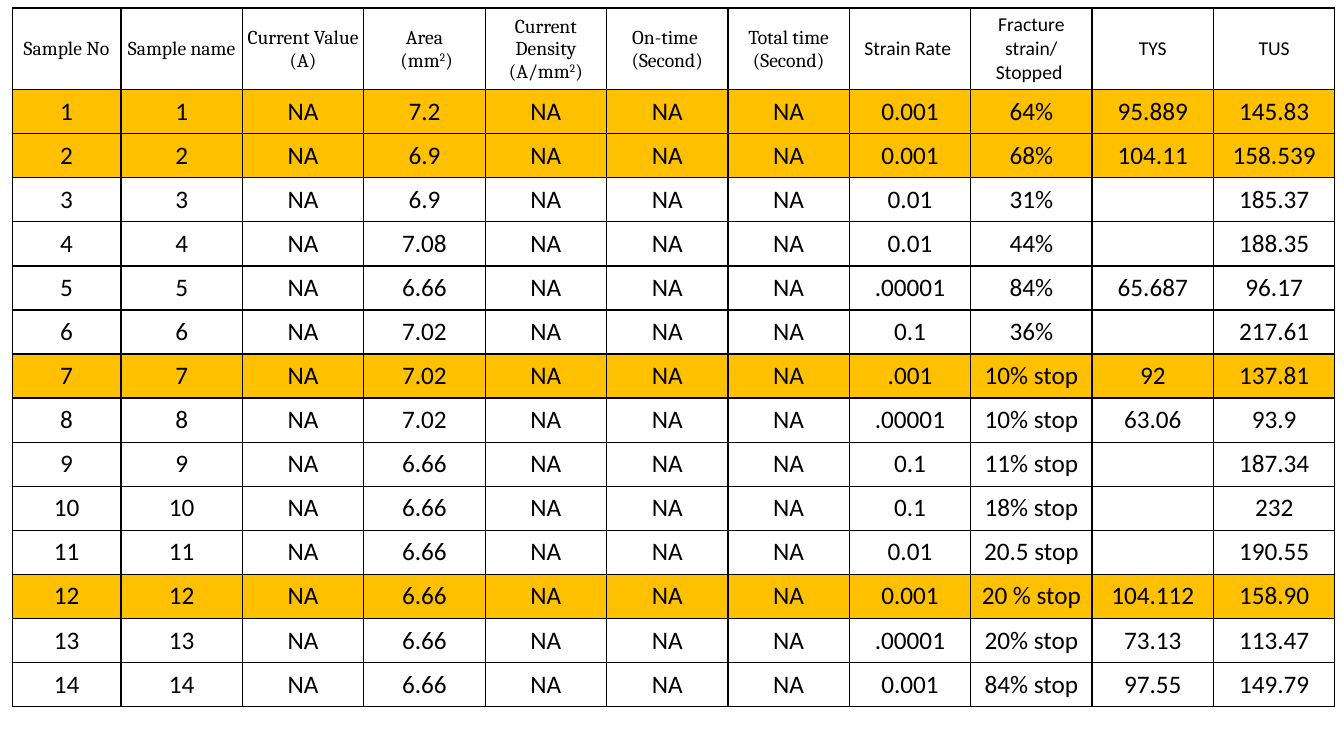
from pptx import Presentation
from pptx.dml.color import RGBColor
from pptx.enum.text import MSO_ANCHOR, PP_ALIGN
from pptx.oxml.ns import qn
from pptx.util import Inches, Pt
from lxml import etree

CENTER = PP_ALIGN.CENTER
MIDDLE = MSO_ANCHOR.MIDDLE
COLORS = {"ink": "000000", "highlight": "FFC000"}

# Header cells are lists of paragraphs; text between ^ marks is superscript
HEADERS = [
    ["Sample No"], ["Sample name"], ["Current Value (A)"],
    ["Area", " (mm^2^)"], ["Current Density (A/mm^2^)"],
    ["On-time ", "(Second)"], ["Total time (Second)"],
    ["Strain Rate "], ["Fracture strain/", "Stopped "], ["TYS"], ["TUS"],
]
CAMBRIA_COLUMNS = 7

# Area, strain rate, fracture strain, TYS, TUS
SAMPLES = [
    ("7.2", "0.001", "64%", "95.889", "145.83"),
    ("6.9", "0.001", "68%", "104.11", "158.539"),
    ("6.9", "0.01", "31%", "", "185.37"),
    ("7.08", "0.01", "44%", "", "188.35"),
    ("6.66", ".00001", "84%", "65.687", "96.17"),
    ("7.02", "0.1", "36%", "", "217.61"),
    ("7.02", ".001", "10% stop", "92", "137.81"),
    ("7.02", ".00001", "10% stop", "63.06", "93.9"),
    ("6.66", "0.1", "11% stop", "", "187.34"),
    ("6.66", "0.1", "18% stop", "", "232"),
    ("6.66", "0.01", "20.5 stop", "", "190.55"),
    ("6.66", "0.001", "20 % stop", "104.112", "158.90"),
    ("6.66", ".00001", "20% stop", "73.13", "113.47"),
    ("6.66", "0.001", "84% stop", "97.55", "149.79"),
]
HIGHLIGHTED_SAMPLES = {1, 2, 7, 12}


def write_cell(cell, paragraphs, font_name, size):
    cell.vertical_anchor = MIDDLE
    for index, text in enumerate(paragraphs):
        frame = cell.text_frame
        paragraph = frame.add_paragraph() if index else frame.paragraphs[0]
        paragraph.alignment = CENTER
        paragraph.font.size = Pt(size)
        for part, run_text in enumerate(text.split("^")):
            if not run_text:
                continue
            run = paragraph.add_run()
            run.text = run_text
            run.font.name = font_name
            run.font.size = Pt(size)
            run.font.color.rgb = RGBColor.from_string(COLORS["ink"])
            if part % 2:
                run.font._element.set("baseline", "30000")


def style_cell(cell, fill):
    properties = cell._tc.get_or_add_tcPr()
    for side in ("a:lnL", "a:lnR", "a:lnT", "a:lnB"):
        line = etree.SubElement(properties, qn(side), w=str(Pt(1)))
        solid = etree.SubElement(line, qn("a:solidFill"))
        etree.SubElement(solid, qn("a:srgbClr"), val=COLORS["ink"])
    if fill:
        cell.fill.solid()
        cell.fill.fore_color.rgb = RGBColor.from_string(fill)
    else:
        cell.fill.background()


presentation = Presentation()
presentation.slide_width = Inches(13.33)
presentation.slide_height = Inches(7.5)
slide = presentation.slides.add_slide(presentation.slide_layouts[6])

# Table grid: narrow first column, tall header, the rest equal
table_width, table_height = Inches(13.12), Inches(6.93)
first_column, header_height = Inches(1.08), Inches(0.81)
table = slide.shapes.add_table(
    len(SAMPLES) + 1, len(HEADERS),
    Inches(0.12), Inches(0.08), table_width, table_height).table
table.first_row = False
table.horz_banding = False
for index, column in enumerate(table.columns):
    column.width = (table_width - first_column) // (len(HEADERS) - 1) if index else first_column
for index, row in enumerate(table.rows):
    row.height = (table_height - header_height) // len(SAMPLES) if index else header_height

# Header row
for index, paragraphs in enumerate(HEADERS):
    cell = table.cell(0, index)
    style_cell(cell, None)
    if index < CAMBRIA_COLUMNS:
        cell.margin_left = cell.margin_right = cell.margin_top = Inches(0.01)
        cell.margin_bottom = 0
    write_cell(cell, paragraphs, "Cambria" if index < CAMBRIA_COLUMNS else "Calibri", 14)

# Sample rows
for number, (area, *results) in enumerate(SAMPLES, start=1):
    values = [str(number), str(number), "NA", area, "NA", "NA", "NA", *results]
    fill = COLORS["highlight"] if number in HIGHLIGHTED_SAMPLES else None
    for index, value in enumerate(values):
        cell = table.cell(number, index)
        style_cell(cell, fill)
        write_cell(cell, [value], "Calibri", 18)

presentation.save("out.pptx")
